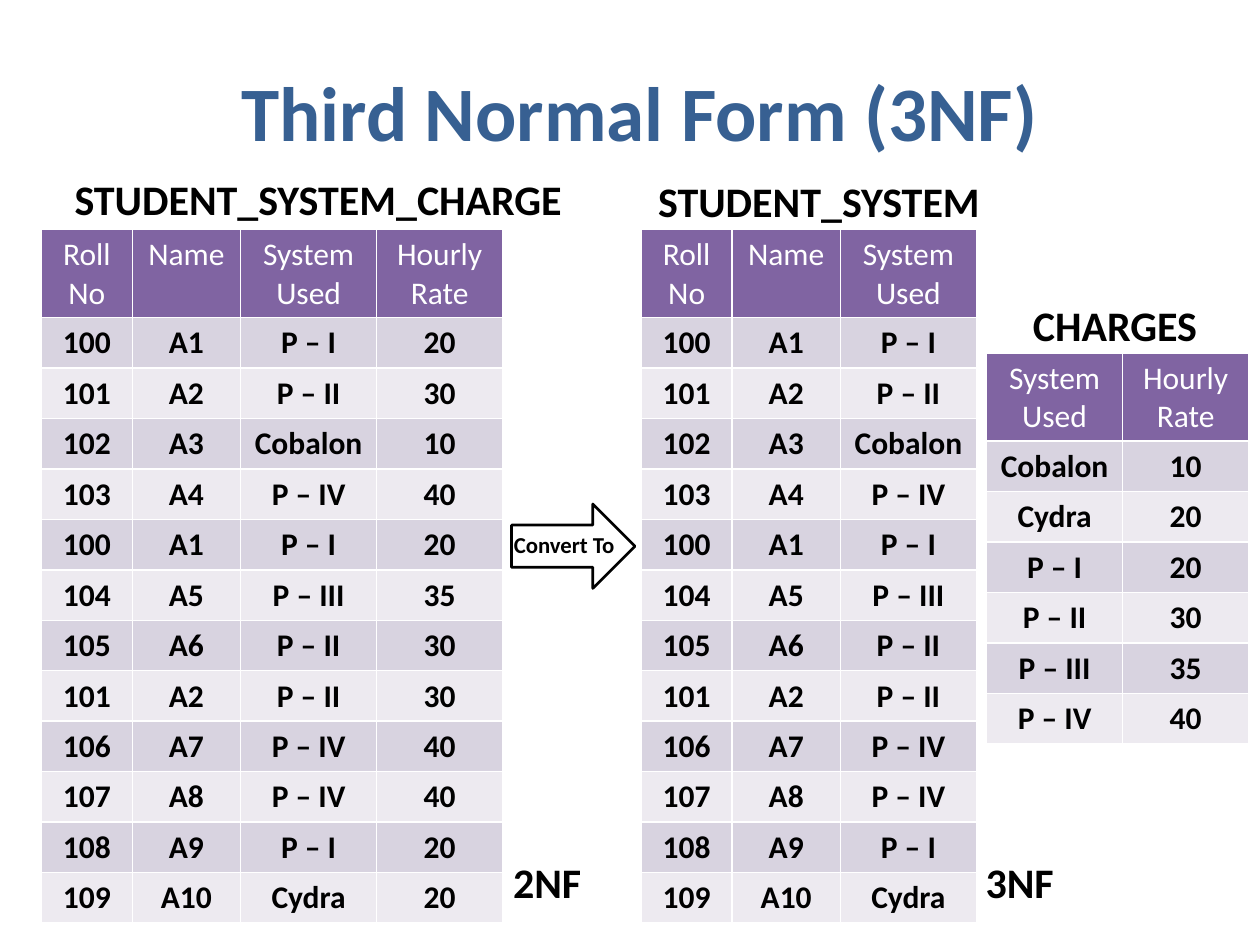
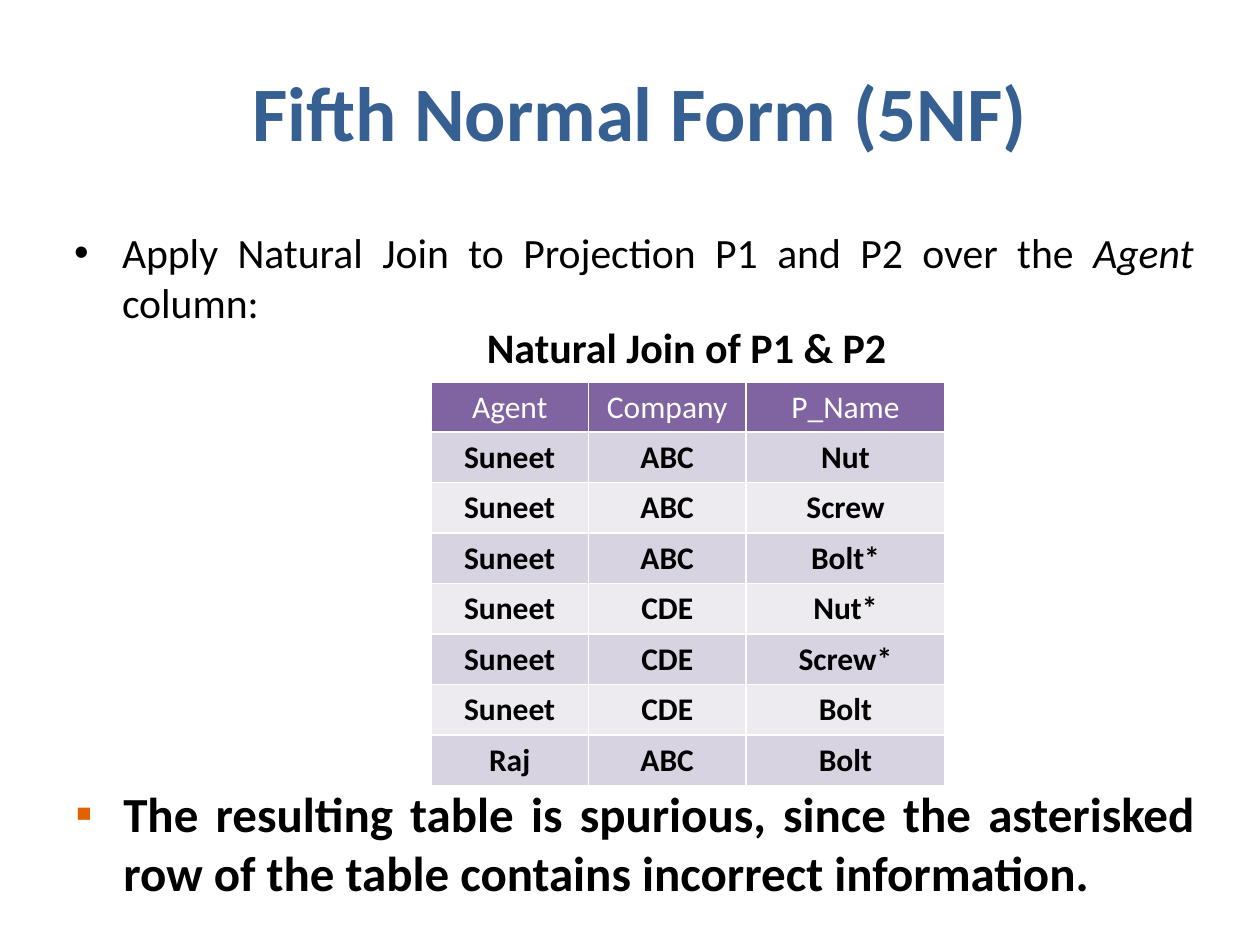
from dataclasses import dataclass

from lxml import etree
from pptx import Presentation
from pptx.dml.color import RGBColor
from pptx.enum.shapes import MSO_SHAPE
from pptx.enum.text import MSO_ANCHOR, PP_ALIGN
from pptx.oxml.ns import qn
from pptx.slide import Slide
from pptx.util import Inches, Pt

CENTER, JUSTIFY = PP_ALIGN.CENTER, PP_ALIGN.JUSTIFY
TOP, MIDDLE = MSO_ANCHOR.TOP, MSO_ANCHOR.MIDDLE
RIGHT_ARROW = MSO_SHAPE.RIGHT_ARROW


@dataclass(frozen=True)
class Theme:
    font: str = "Calibri"
    title: str = "376092"
    text: str = "000000"
    header: str = "8064A2"
    header_text: str = "FFFFFF"
    bands: tuple[str, str] = ("D8D3E0", "EDEAF0")
    accent: str = "E46100"
    title_size: float = 44
    statement_size: float = 28
    label_size: float = 24
    body_size: float = 23.8
    cell_size: float = 18
    arrow_size: float = 13


THEME = Theme()
ROW_HEIGHT = 0.4
HANGING = Inches(0.38)


@dataclass(frozen=True)
class Bullet:
    char: str
    color: str


@dataclass(frozen=True)
class Caption:
    """A text block; phrases at odd positions are set in italics."""
    phrases: tuple[str, ...]
    box: tuple[float, float, float, float]
    size: float = THEME.label_size
    color: str = THEME.text
    bold: bool = True
    align: PP_ALIGN = CENTER
    anchor: MSO_ANCHOR = TOP
    bullet: Bullet | None = None


@dataclass(frozen=True)
class Relation:
    left: float
    top: float
    widths: tuple[float, ...]
    header: tuple[str, ...]
    rows: list[tuple[str, ...]]
    header_height: float = 0.7


def rgb(value: str) -> RGBColor:
    return RGBColor.from_string(value)


def style_paragraph(paragraph, size: float, color: str, bold: bool, align: PP_ALIGN) -> None:
    paragraph.alignment = align
    font = paragraph.font
    font.name, font.size, font.bold = THEME.font, Pt(size), bold
    font.color.rgb = rgb(color)


def add_bullet(paragraph, bullet: Bullet) -> None:
    props = paragraph._p.get_or_add_pPr()
    props.set("marL", str(HANGING))
    props.set("indent", str(-HANGING))
    color = etree.SubElement(props, qn("a:buClr"))
    etree.SubElement(color, qn("a:srgbClr"), val=bullet.color)
    etree.SubElement(props, qn("a:buFont"), typeface="Arial")
    etree.SubElement(props, qn("a:buChar"), char=bullet.char)


def add_caption(slide: Slide, caption: Caption) -> None:
    frame = slide.shapes.add_textbox(*map(Inches, caption.box)).text_frame
    frame.word_wrap = True
    frame.vertical_anchor = caption.anchor
    paragraph = frame.paragraphs[0]
    if caption.bullet:
        add_bullet(paragraph, caption.bullet)
    style_paragraph(paragraph, caption.size, caption.color, caption.bold, caption.align)
    for index, phrase in enumerate(caption.phrases):
        run = paragraph.add_run()
        run.text = phrase
        if index % 2:
            run.font.italic = True


def add_relation(slide: Slide, relation: Relation) -> None:
    lines = [relation.header, *relation.rows]
    height = relation.header_height + ROW_HEIGHT * len(relation.rows)
    table = slide.shapes.add_table(
        len(lines), len(relation.widths), Inches(relation.left), Inches(relation.top),
        Inches(sum(relation.widths)), Inches(height)).table
    for column, width in zip(table.columns, relation.widths):
        column.width = Inches(width)
    for index, (row, values) in enumerate(zip(table.rows, lines)):
        is_header = index == 0
        row.height = Inches(relation.header_height if is_header else ROW_HEIGHT)
        fill = THEME.header if is_header else THEME.bands[(index - 1) % 2]
        color = THEME.header_text if is_header else THEME.text
        for cell, value in zip(row.cells, values):
            cell.fill.solid()
            cell.fill.fore_color.rgb = rgb(fill)
            cell.text = value
            style_paragraph(cell.text_frame.paragraphs[0], THEME.cell_size,
                            color, not is_header, CENTER)


def add_convert_arrow(slide: Slide) -> None:
    arrow = slide.shapes.add_shape(
        RIGHT_ARROW, Inches(4.06), Inches(4), Inches(0.98), Inches(0.67))
    arrow.shadow.inherit = False
    arrow.fill.background()
    arrow.line.color.rgb = rgb(THEME.text)
    arrow.line.width = Pt(1.5)


def add_titled_slide(prs, title: str) -> Slide:
    slide = prs.slides.add_slide(prs.slide_layouts[6])
    add_caption(slide, Caption((title,), (0.58, 0.25, 9, 1.25), THEME.title_size,
                               THEME.title, anchor=MIDDLE))
    return slide


# Student data in second normal form
STUDENT_HEADER = ("Roll No", "Name", "System Used", "Hourly Rate")
STUDENT_WIDTHS = (0.72, 0.86, 1.08, 1)
RATES = {"Cobalon": "10", "Cydra": "20", "P – I": "20",
         "P – II": "30", "P – III": "35", "P – IV": "40"}
STUDENT_SYSTEMS = [
    ("100", "A1", "P – I"), ("101", "A2", "P – II"), ("102", "A3", "Cobalon"),
    ("103", "A4", "P – IV"), ("100", "A1", "P – I"), ("104", "A5", "P – III"),
    ("105", "A6", "P – II"), ("101", "A2", "P – II"), ("106", "A7", "P – IV"),
    ("107", "A8", "P – IV"), ("108", "A9", "P – I"), ("109", "A10", "Cydra"),
]

# Natural join of the projections
JOIN_ROWS = [
    ("Suneet", "ABC", "Nut"), ("Suneet", "ABC", "Screw"), ("Suneet", "ABC", "Bolt*"),
    ("Suneet", "CDE", "Nut*"), ("Suneet", "CDE", "Screw*"), ("Suneet", "CDE", "Bolt"),
    ("Raj", "ABC", "Bolt"),
]


def build_third_normal_form(prs) -> None:
    slide = add_titled_slide(prs, "Third Normal Form (3NF)")
    charged = [(*row, RATES[row[2]]) for row in STUDENT_SYSTEMS]
    for relation in (
        Relation(0.33, 1.82, STUDENT_WIDTHS, STUDENT_HEADER, charged),
        Relation(5.09, 1.82, STUDENT_WIDTHS[:3], STUDENT_HEADER[:3], STUDENT_SYSTEMS),
        Relation(7.83, 2.8, STUDENT_WIDTHS[2:], STUDENT_HEADER[2:], list(RATES.items())),
    ):
        add_relation(slide, relation)
    add_convert_arrow(slide)
    for caption in (
        Caption(("STUDENT_SYSTEM_CHARGE",), (0, 1.33, 5.05, 0.52)),
        Caption(("STUDENT_SYSTEM",), (4.75, 1.34, 3.5, 0.52)),
        Caption(("CHARGES",), (7.85, 2.33, 2, 0.52)),
        Caption(("Convert To",), (3.98, 4.16, 1.18, 0.41), THEME.arrow_size, align=JUSTIFY),
        Caption(("2NF ",), (3.92, 6.75, 0.92, 0.58)),
        Caption(("3NF ",), (7.67, 6.75, 0.92, 0.58)),
    ):
        add_caption(slide, caption)


def build_fifth_normal_form(prs) -> None:
    slide = add_titled_slide(prs, "Fifth Normal Form (5NF)")
    add_relation(slide, Relation(3.42, 3.03, (1.25, 1.25, 1.58),
                                 ("Agent", "Company", "P_Name"), JOIN_ROWS, ROW_HEIGHT))
    for caption in (
        Caption(("Apply Natural Join to Projection P1 and P2 over the ", "Agent", " column:"),
                (0.49, 1.75, 9.08, 0.75), THEME.body_size, bold=False, align=JUSTIFY,
                bullet=Bullet("•", THEME.text)),
        Caption(("Natural Join of P1 & P2",), (3.45, 2.5, 4, 0.52)),
        Caption(("The resulting table is spurious, since the asterisked row of the table "
                 "contains incorrect information.",),
                (0.5, 6.17, 9.08, 0.75), THEME.statement_size, align=JUSTIFY,
                bullet=Bullet("▪", THEME.accent)),
    ):
        add_caption(slide, caption)


def main() -> None:
    prs = Presentation()
    prs.slide_width, prs.slide_height = Inches(10), Inches(7.5)
    build_third_normal_form(prs)
    build_fifth_normal_form(prs)
    prs.save("out.pptx")


if __name__ == "__main__":
    main()
